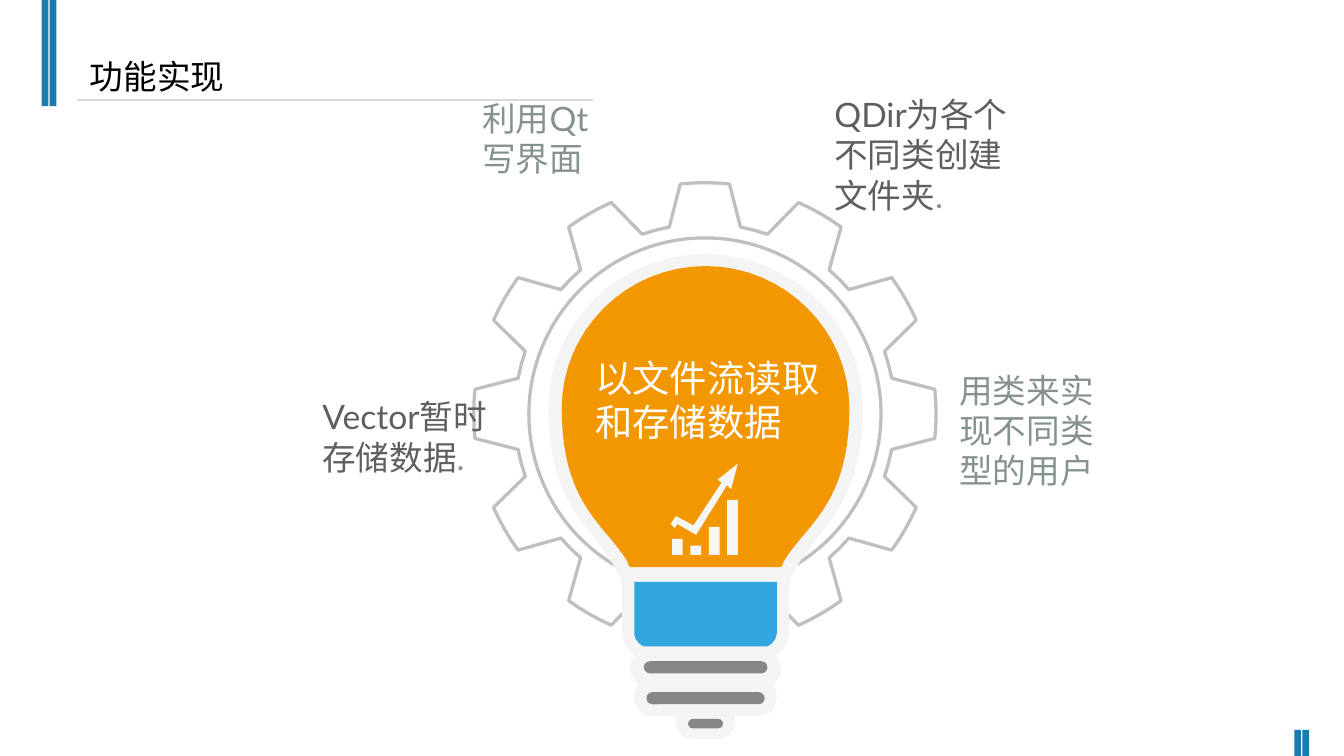
from math import cos, radians, sin

from lxml.etree import SubElement
from pptx import Presentation
from pptx.dml.color import RGBColor
from pptx.enum.shapes import MSO_CONNECTOR as Connector, MSO_SHAPE as Preset
from pptx.enum.text import MSO_AUTO_SIZE as AutoSize
from pptx.oxml.ns import qn
from pptx.util import Inches, Pt

# Square grid: 100 columns across the 16:9 slide, 56.25 rows down
COLUMNS, ROWS = 100, 56.25
CELL = Inches(10) / COLUMNS
AXIS = 52.5
GEAR_CENTER = (52.45, 30.8)
TEETH = 12

BLUE, RULE, GEAR, HALO = "1A7BAE", "D9D9D9", "BFBFBF", "F4F4F4"
GLASS, COLLAR, SCREW, ICON = "F29700", "31A6DF", "858685", "F6F6F5"
DARK, MUTED, WHITE, BLACK = "605E5E", "859291", "FFFFFF", "000000"

# Left halves of the bulb outlines: a pair is a corner, six numbers a curve
HALO_HALF = [
    (52.5, 55), (51.6, 55), (50.9, 55, 50.3, 54.4, 50.3, 53.7), (50.3, 53.3),
    (48.5, 53.3), (47.8, 53.3, 47.2, 52.6, 47.2, 51.9),
    (47.2, 51.5, 47.3, 51.2, 47.5, 50.9), (47.2, 50.7, 46.9, 50.3, 46.9, 49.8),
    (46.9, 49.4, 47, 49, 47.3, 48.8), (46.7, 48.4, 46.3, 47.8, 46.3, 47),
    (46.3, 44.1), (46.3, 43.6, 46.2, 42.9, 45.8, 42.3),
    (45.4, 41.6, 44.9, 41, 44.4, 40.3), (42.8, 38.3, 40.8, 36, 40.8, 30.4),
    (40.8, 24, 46.1, 18.9, 52.5, 18.9),
]
COLLAR_HALF = [
    (52.5, 48.1), (47.9, 48.1), (47.5, 47.9, 47.2, 47.5, 47.2, 47.1),
    (47.2, 44.1), (47.2, 43.9, 47.2, 43.6, 47.2, 43.3), (52.5, 43.3),
]
GLASS_HALF = [
    (52.5, 42.2), (46.9, 42.2), (46.8, 42.1, 46.7, 41.9, 46.7, 41.8),
    (46.2, 41, 45.7, 40.4, 45.1, 39.7), (43.6, 37.9, 41.8, 35.7, 41.8, 30.4),
    (41.8, 24.6, 46.6, 19.8, 52.5, 19.8),
]
TREND_ARROW = [
    (53.4, 35.7), (53.7, 35.9), (51.6, 39.1), (50.3, 38.4), (49.9, 39),
    (50.2, 39.3), (50.4, 39), (51.8, 39.8), (54.1, 36.1), (54.4, 36.4),
    (54.9, 34.5),
]


def grid(*lengths):
    return [round(length * CELL) for length in lengths]


def color(hex_text):
    return RGBColor.from_string(hex_text)


def paint(shape, fill=None, line=None, weight=1.75):
    shape.shadow.inherit = False
    if fill:
        shape.fill.solid()
        shape.fill.fore_color.rgb = color(fill)
    else:
        shape.fill.background()
    if line:
        shape.line.color.rgb = color(line)
        shape.line.width = Pt(weight)
    else:
        shape.line.fill.background()
    return shape


def add_preset(slide, preset, box, **look):
    return paint(slide.shapes.add_shape(preset, *grid(*box)), **look)


def add_outline(slide, points, **look):
    corners = [grid(*point) for point in points]
    builder = slide.shapes.build_freeform(*corners[0])
    builder.add_line_segments(corners[1:], close=True)
    return paint(builder.convert_to_shape(), **look)


def add_rule(slide, start, end, line, weight):
    rule = slide.shapes.add_connector(Connector.STRAIGHT, *grid(*start, *end))
    rule.line.color.rgb = color(line)
    rule.line.width = Pt(weight)
    SubElement(rule._element.spPr, qn("a:effectLst"))


def add_text(slide, box, *runs, size=18, font="Lato", wrap=True):
    """Each run is a pair of text and colour."""
    frame = slide.shapes.add_textbox(*grid(*box)).text_frame
    frame.word_wrap = wrap
    frame.auto_size = AutoSize.SHAPE_TO_FIT_TEXT
    for text, ink in runs:
        run = frame.paragraphs[0].add_run()
        run.text = text
        run.font.size = Pt(size)
        run.font.name = font
        run.font.color.rgb = color(ink)


def trace(segments, steps=16):
    """Turn corners and cubic curves into a list of points."""
    points = []
    for segment in segments:
        if len(segment) == 2:
            points.append(segment)
            continue
        x0, y0 = points[-1]
        x1, y1, x2, y2, x3, y3 = segment
        for step in range(1, steps + 1):
            t = step / steps
            a, b, c, d = (1 - t) ** 3, 3 * t * (1 - t) ** 2, 3 * t * t * (1 - t), t ** 3
            points.append((a * x0 + b * x1 + c * x2 + d * x3,
                           a * y0 + b * y1 + c * y2 + d * y3))
    return points


def mirrored(half):
    left = trace(half)
    return left + [(2 * AXIS - x, y) for x, y in reversed(left)]


def gear_points():
    # Angle from the tooth's middle, and distance from the centre
    tooth = [(-15, 14.15), (-10.8, 14.15), (-6.1, 17.2), (-3, 17.2), (0, 17.2),
             (3, 17.2), (6.1, 17.2), (10.8, 14.15)]
    x, y = GEAR_CENTER
    for index in range(TEETH):
        for angle, radius in tooth:
            turn = radians(angle + index * 360 / TEETH)
            yield x + radius * sin(turn), y - radius * cos(turn)


def add_frame(slide):
    # Paired stripes in two corners, and the rule below the title
    for left, top, height in ((3.1, 0, 7.9), (96.3, 54.3, 1.95)):
        for offset in (0, 0.6):
            add_preset(slide, Preset.RECTANGLE, (left + offset, top, 0.5, height), fill=BLUE)
    add_rule(slide, (5.7, 7.45), (44.1, 7.45), RULE, 0.75)
    add_text(slide, (5.7, 3.7, 12.1, 4), ("功能实现", BLACK), font="Arial", wrap=False)


def add_gear(slide):
    add_outline(slide, list(gear_points()), line=GEAR)
    x, y = GEAR_CENTER
    radius = 13.1
    add_preset(slide, Preset.OVAL, (x - radius, y - radius, 2 * radius, 2 * radius), line=GEAR)


def add_bulb(slide):
    add_outline(slide, mirrored(HALO_HALF), fill=HALO)
    for top, width, height in ((53.5, 2.6, 0.7), (51.5, 8.8, 0.9), (49.2, 9.2, 0.9)):
        bar = add_preset(slide, Preset.ROUNDED_RECTANGLE,
                         (AXIS - width / 2, top, width, height), fill=SCREW)
        bar.adjustments[0] = 0.5
    add_outline(slide, mirrored(COLLAR_HALF), fill=COLLAR)
    add_outline(slide, mirrored(GLASS_HALF), fill=GLASS)


def add_growth_icon(slide):
    bottom = 41.3
    for index, height in enumerate((1.2, 0.7, 2.1, 4.1)):
        add_preset(slide, Preset.RECTANGLE,
                   (50 + index * 1.37, bottom - height, 0.8, height), fill=ICON)
    add_outline(slide, TREND_ARROW, fill=ICON)


def add_labels(slide):
    add_text(slide, (61.1, 6.5, 15.5, 10.1), ("QDir为各个不同类创建文件夹", DARK), (".", MUTED))
    add_text(slide, (34.9, 6.8, 10.5, 7.1), ("利用Qt写界面", MUTED))
    add_text(slide, (70.4, 27, 12.7, 10.1), ("用类来实现不同类型的用户", MUTED))
    add_text(slide, (23, 29, 14.8, 7.1), ("Vector暂时存储数据", DARK), (".", MUTED))
    add_text(slide, (43.3, 25.9, 19, 7.7), ("以文件流读取和存储数据", WHITE),
             size=20, font="Courier New")


def main():
    presentation = Presentation()
    presentation.slide_width, presentation.slide_height = grid(COLUMNS, ROWS)
    slide = presentation.slides.add_slide(presentation.slide_layouts[6])
    add_frame(slide)
    add_gear(slide)
    add_bulb(slide)
    add_growth_icon(slide)
    add_labels(slide)
    presentation.save("out.pptx")


if __name__ == "__main__":
    main()
